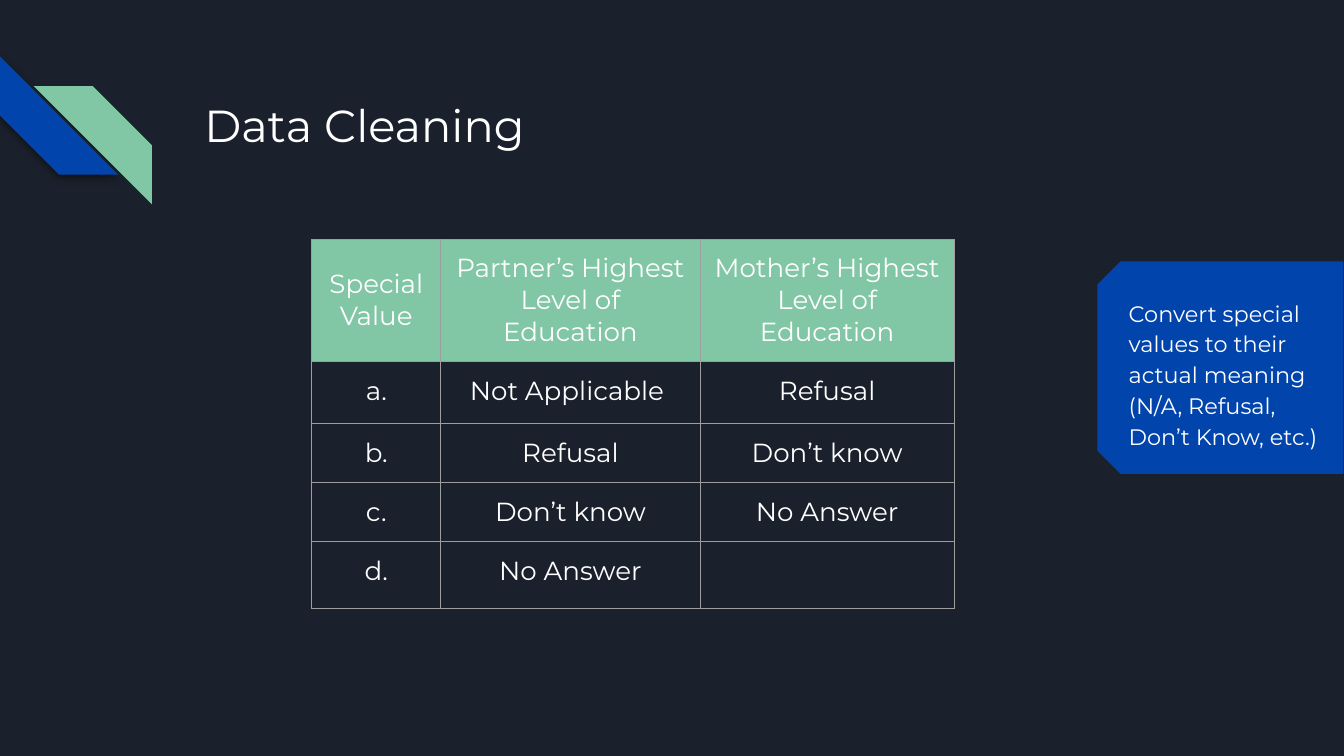
from lxml import etree
from pptx import Presentation
from pptx.dml.color import RGBColor
from pptx.enum.shapes import MSO_SHAPE
from pptx.enum.text import MSO_ANCHOR, PP_ALIGN
from pptx.oxml import parse_xml
from pptx.oxml.ns import nsdecls, qn
from pptx.util import Inches, Pt

STRIPE = MSO_SHAPE.DIAGONAL_STRIPE
SNIPPED = MSO_SHAPE.SNIP_2_SAME_RECTANGLE
LEFT, CENTER = PP_ALIGN.LEFT, PP_ALIGN.CENTER
TOP, MIDDLE = MSO_ANCHOR.TOP, MSO_ANCHOR.MIDDLE

NAVY, BLUE, GREEN = "1B212C", "0145AC", "82C7A5"
WHITE, GRAY = "FFFFFF", "9E9E9E"
FONT = "Montserrat"


def color(value):
    return RGBColor.from_string(value)


def write(frame, text, size=14, align=LEFT, spacing=None):
    para = frame.paragraphs[0]
    para.alignment = align
    if spacing:
        para.line_spacing = spacing
    span = para.add_run()
    span.text = text
    span.font.size = Pt(size)
    span.font.name = FONT
    span.font.color.rgb = color(WHITE)


def set_frame(frame, anchor):
    frame.word_wrap = True
    frame.vertical_anchor = anchor
    frame.margin_left = frame.margin_right = Inches(0.1)
    frame.margin_top = frame.margin_bottom = Inches(0.1)


def add_shadow(shape):
    shape._element.spPr.append(parse_xml(
        f'<a:effectLst {nsdecls("a")}>'
        '<a:outerShdw blurRad="57150" dist="19050" dir="5400000" rotWithShape="0">'
        '<a:srgbClr val="000000"><a:alpha val="50000"/></a:srgbClr>'
        '</a:outerShdw></a:effectLst>'))


def add_borders(cell):
    properties = cell._tc.get_or_add_tcPr()
    for side in ("lnL", "lnR", "lnT", "lnB"):
        line = etree.SubElement(properties, qn(f"a:{side}"), w=str(Pt(0.75)))
        fill = etree.SubElement(line, qn("a:solidFill"))
        etree.SubElement(fill, qn("a:srgbClr"), val=GRAY)


class SlideBuilder:
    def __init__(self, deck):
        self.page = deck.slides.add_slide(deck.slide_layouts[5])
        self.page.background.fill.solid()
        self.page.background.fill.fore_color.rgb = color(NAVY)

    def shape(self, kind, box, fill, adjustments, rotation=0, flip=False, shadow=False):
        shape = self.page.shapes.add_shape(kind, *map(Inches, box))
        for index, value in enumerate(adjustments):
            shape.adjustments[index] = value
        shape.fill.solid()
        shape.fill.fore_color.rgb = color(fill)
        shape.line.fill.background()
        shape.rotation = rotation
        if flip:
            shape._element.spPr.xfrm.set("flipH", "1")
        if shadow:
            add_shadow(shape)
        else:
            shape.shadow.inherit = False

    def title(self, text, box):
        title = self.page.shapes.title
        title.left, title.top, title.width, title.height = map(Inches, box)
        set_frame(title.text_frame, MIDDLE)
        write(title.text_frame, text, size=24)

    def text(self, text, box, **style):
        frame = self.page.shapes.add_textbox(*map(Inches, box)).text_frame
        set_frame(frame, TOP)
        write(frame, text, **style)

    def table(self, rows, left, top, widths, heights):
        box = map(Inches, (left, top, sum(widths), sum(heights)))
        table = self.page.shapes.add_table(len(rows), len(widths), *box).table
        table.first_row = table.horz_banding = False
        for column, width in zip(table.columns, widths):
            column.width = Inches(width)
        for row, height in zip(table.rows, heights):
            row.height = Inches(height)
        for row_index, row in enumerate(rows):
            for column_index, text in enumerate(row):
                self.cell(table.cell(row_index, column_index), text, row_index == 0)
        table.cell(0, 0).vertical_anchor = MIDDLE

    def cell(self, cell, text, is_header):
        add_borders(cell)
        if is_header:
            cell.fill.solid()
            cell.fill.fore_color.rgb = color(GREEN)
        else:
            cell.fill.background()
        cell.vertical_anchor = TOP
        cell.margin_left = cell.margin_right = Inches(0.1)
        cell.margin_top = cell.margin_bottom = Inches(0.1)
        write(cell.text_frame, text, align=CENTER)


def main():
    deck = Presentation()
    deck.slide_width, deck.slide_height = Inches(10), Inches(10 * 9 / 16)
    slide = SlideBuilder(deck)

    # Corner stripes
    slide.shape(STRIPE, (0, 0.42, 0.88, 0.88), BLUE, [0.5], rotation=270, shadow=True)
    slide.shape(STRIPE, (0.25, 0.64, 0.88, 0.88), GREEN, [0.5], flip=True)

    # Title
    slide.title("Data Cleaning", (1.42, 0.43, 7.7, 1))

    # Callout at the right edge
    slide.shape(SNIPPED, (8.29, 1.82, 1.58, 1.83), BLUE, [0.109, 0], rotation=270)
    slide.text("Convert special values to their actual meaning (N/A, Refusal, Don’t Know, etc.)",
               (8.3, 2.1, 1.7, 1.3), size=12, spacing=1.15)

    # Special values table
    rows = [
        ("Special Value", "Partner’s Highest Level of Education",
         "Mother’s Highest Level of Education"),
        ("a.", "Not Applicable ", "Refusal"),
        ("b.", "Refusal", "Don’t know"),
        ("c.", "Don’t know", "No Answer"),
        ("d.", "No Answer", ""),
    ]
    slide.table(rows, 2.32, 1.78, widths=(0.96, 1.93, 1.89),
                heights=(0.91, 0.46, 0.44, 0.44, 0.48))

    deck.save("out.pptx")


if __name__ == "__main__":
    main()
